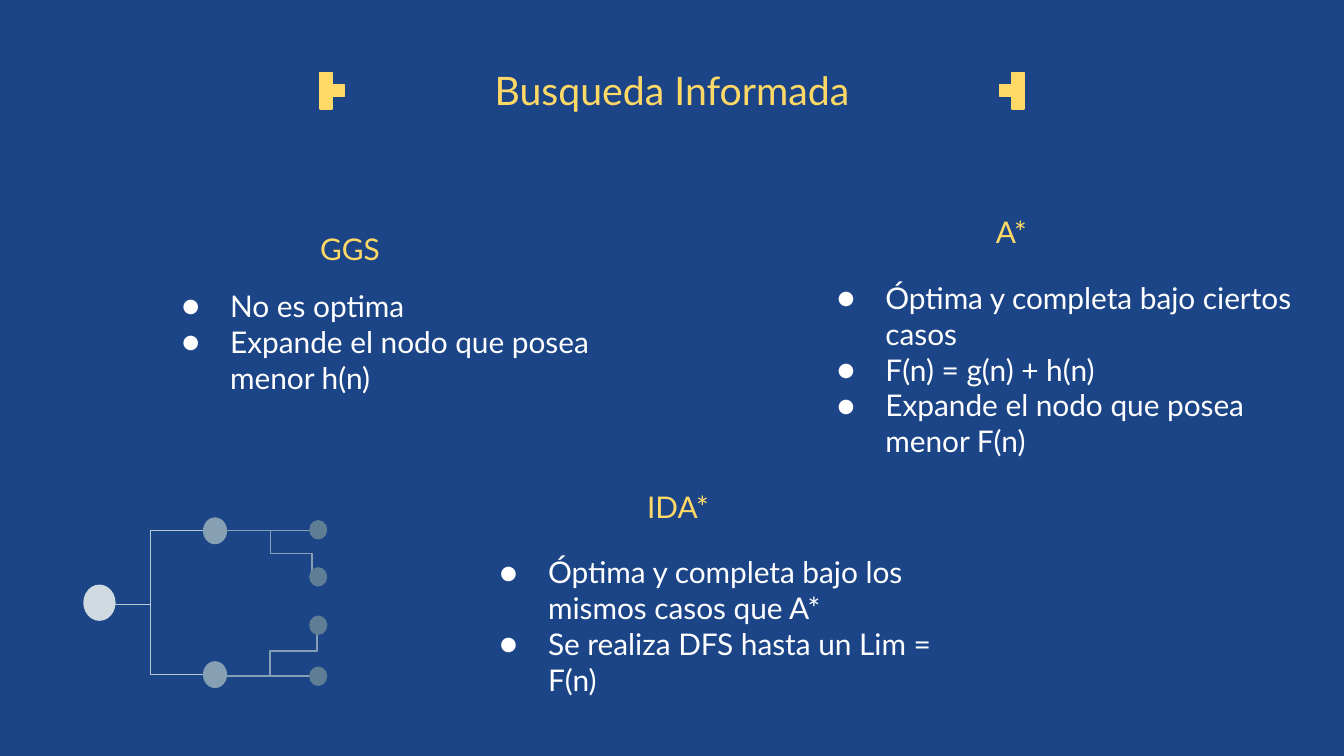
import lxml.etree
import pptx
import pptx.dml.color
import pptx.enum.shapes
import pptx.enum.text
import pptx.oxml.ns
import pptx.util

COLUMNS, ROWS = 100, 56.25
CELL = pptx.util.Inches(0.1)
GOLD, WHITE, NAVY = "FFD966", "FFFFFF", "1C4587"
ROOT, BRANCH, LEAF, TRUNK = "CFD9E0", "869FB2", "5F7D95", "BAC8D3"

ALIGN = pptx.enum.text.PP_ALIGN
ANCHOR = pptx.enum.text.MSO_ANCHOR
SHAPE = pptx.enum.shapes.MSO_SHAPE
CONNECTOR = pptx.enum.shapes.MSO_CONNECTOR
qn = pptx.oxml.ns.qn


def cells(*counts):
    return [round(count * CELL) for count in counts]


def rgb(code):
    return pptx.dml.color.RGBColor.from_string(code)


def apply(target, **values):
    for name, value in values.items():
        setattr(target, name, value)


def fill(target, code):
    target.fill.solid()
    target.fill.fore_color.rgb = rgb(code)


def add_text(slide, area, lines, size, code, anchor, align):
    frame = slide.shapes.add_textbox(*cells(*area)).text_frame
    margins = dict.fromkeys(
        ("margin_left", "margin_top", "margin_right", "margin_bottom"), CELL)
    apply(frame, word_wrap=True, vertical_anchor=anchor, **margins)
    frame.text = "\n".join(lines)
    for paragraph in frame.paragraphs:
        paragraph.alignment = align
        for run in paragraph.runs:
            apply(run.font, name="Lato", size=pptx.util.Pt(size))
            run.font.color.rgb = rgb(code)
    return frame.paragraphs


def add_heading(slide, area, wording, size=16):
    add_text(slide, area, [wording], size, GOLD, ANCHOR.BOTTOM, ALIGN.CENTER)


def add_bullets(slide, area, points):
    for point in add_text(slide, area, points, 16, WHITE, ANCHOR.TOP, ALIGN.LEFT):
        properties = point._p.get_or_add_pPr()
        indent, hanging = cells(5, -3.6)
        properties.set("marL", str(indent))
        properties.set("indent", str(hanging))
        bullet_color = lxml.etree.SubElement(properties, qn("a:buClr"))
        lxml.etree.SubElement(bullet_color, qn("a:srgbClr")).set("val", WHITE)
        lxml.etree.SubElement(properties, qn("a:buFont")).set("typeface", "Lato")
        lxml.etree.SubElement(properties, qn("a:buChar")).set("char", "●")


def add_solid(slide, kind, area, code, outlined=False):
    solid = slide.shapes.add_shape(kind, *cells(*area))
    solid.shadow.inherit = False
    fill(solid, code)
    if outlined:
        solid.line.color.rgb = rgb(code)
        solid.line.width = pptx.util.Pt(0.75)
    else:
        solid.line.fill.background()


def add_bracket(slide, left, tooth_left):
    side, top = 0.9, 5.4
    squares = [(left, top + side * step) for step in range(3)]
    for x, y in squares + [(tooth_left, top + side)]:
        add_solid(slide, SHAPE.RECTANGLE, (x, y, side, side), GOLD, True)


def add_edge(slide, start, end, code, upright=False):
    (x1, y1), (x2, y2) = start, end
    if upright:
        middle_x, middle_y = (x1 + x2) / 2, (y1 + y2) / 2
        half_x, half_y = (y2 - y1) / 2, (x2 - x1) / 2
        x1, x2 = middle_x + half_x, middle_x - half_x
        y1, y2 = middle_y - half_y, middle_y + half_y
    edge = slide.shapes.add_connector(CONNECTOR.ELBOW, *cells(x1, y1, x2, y2))
    edge.line.color.rgb = rgb(code)
    edge.line.width = pptx.util.Pt(0.75)
    properties = edge._element.spPr
    if upright:
        properties.find(qn("a:xfrm")).set("rot", str(270 * 60000))
    lxml.etree.SubElement(properties, qn("a:effectLst"))


def add_tree(slide):
    add_edge(slide, (20.1, 50.3), (23.6, 46.6), BRANCH, upright=True)
    add_edge(slide, (20.1, 39.5), (23.2, 42.9), BRANCH, upright=True)
    for y in (39.5, 50.3):
        add_edge(slide, (16.5, y), (23.2, y), BRANCH)
    for y in (39.5, 50.2):
        add_edge(slide, (7.2, 45), (15.2, y), TRUNK)
    add_solid(slide, SHAPE.OVAL, (6.2, 43.5, 2.4, 2.7), ROOT)
    for top in (38.5, 49.2):
        add_solid(slide, SHAPE.OVAL, (15.1, top, 1.8, 2), BRANCH)
    for top in (38.7, 42.2, 45.8, 49.6):
        add_solid(slide, SHAPE.OVAL, (23, top, 1.35, 1.45), LEAF)


def main():
    deck = pptx.Presentation()
    width, height = cells(COLUMNS, ROWS)
    apply(deck, slide_width=width, slide_height=height)
    slide = deck.slides.add_slide(deck.slide_layouts[6])
    fill(slide.background, NAVY)

    add_heading(slide, (3.4, 3.15, 93.2, 6.3), "Busqueda Informada", 21)
    searches = [
        ("GGS", (13.7, 16.55), (11.15, 20.4, 38, 12.1),
         ["No es optima", "Expande el nodo que posea menor h(n)"]),
        ("A*", (62.9, 15.3), (59.9, 19.8, 37.3, 15.1),
         ["Óptima y completa bajo ciertos casos", "F(n) = g(n) + h(n)",
          "Expande el nodo que posea menor F(n)"]),
        ("IDA*", (38.1, 35.75), (34.8, 40.2, 37.3, 12.1),
         ["Óptima y completa bajo los mismos casos que A*",
          "Se realiza DFS hasta un Lim = F(n)"]),
    ]
    for name, corner, area, points in searches:
        add_heading(slide, (*corner, 24.7, 4.3), name)
        add_bullets(slide, area, points)

    add_bracket(slide, 23.8, 24.7)
    add_bracket(slide, 75.3, 74.4)
    add_tree(slide)
    deck.save("out.pptx")


if __name__ == "__main__":
    main()
